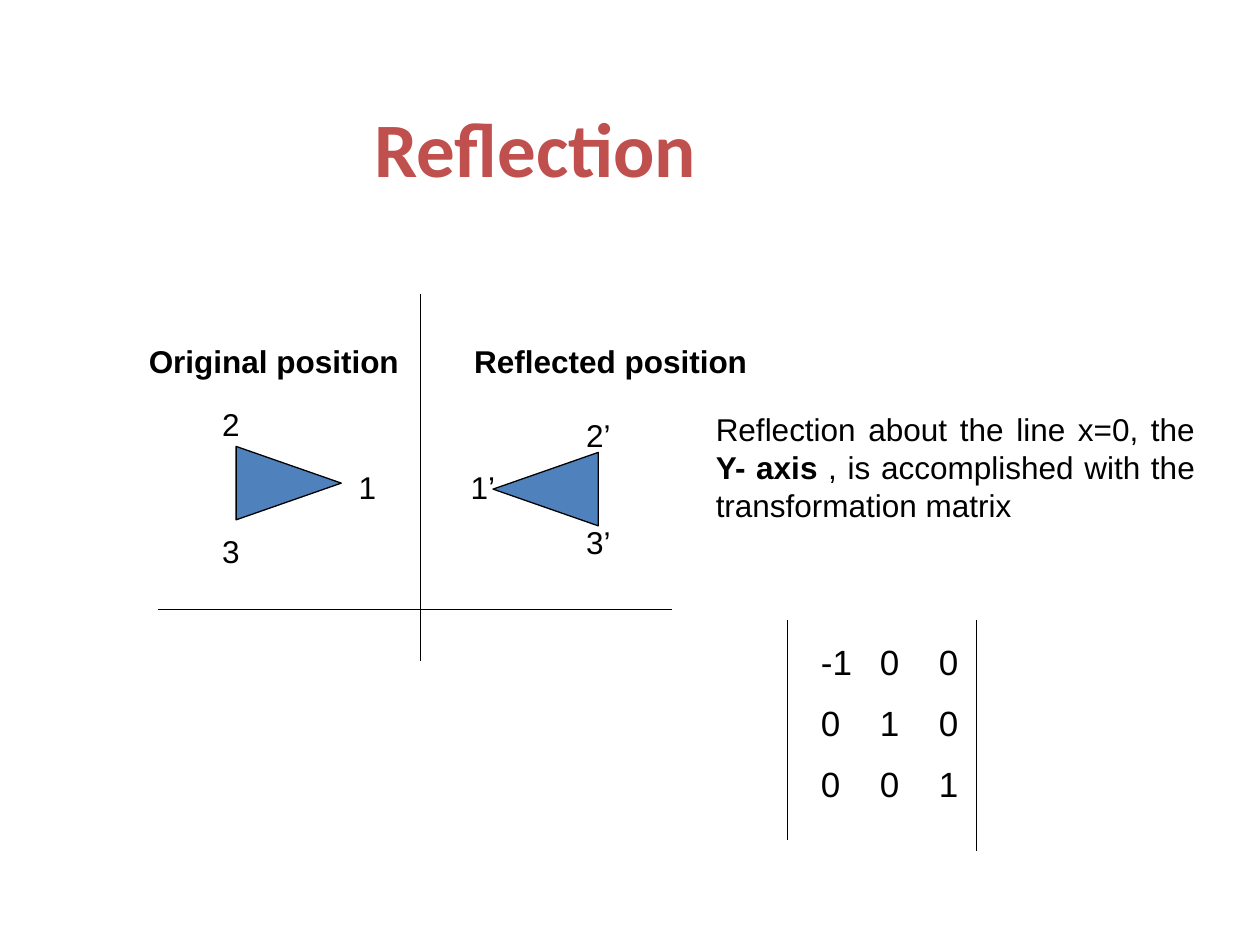
"""Build a slide that explains reflection about the Y axis."""
from dataclasses import dataclass

from lxml import etree
from pptx import Presentation
from pptx.dml.color import RGBColor
from pptx.enum.shapes import MSO_CONNECTOR, MSO_SHAPE
from pptx.enum.text import MSO_ANCHOR, PP_ALIGN
from pptx.oxml.ns import qn
from pptx.util import Cm, Pt

STRAIGHT = MSO_CONNECTOR.STRAIGHT
TRIANGLE = MSO_SHAPE.ISOSCELES_TRIANGLE
TOP, BOTTOM = MSO_ANCHOR.TOP, MSO_ANCHOR.BOTTOM
LEFT, CENTER, JUSTIFY = PP_ALIGN.LEFT, PP_ALIGN.CENTER, PP_ALIGN.JUSTIFY


@dataclass(frozen=True)
class Theme:
    """Colours, fonts and sizes of the slide."""
    ink: RGBColor = RGBColor(0, 0, 0)
    accent: RGBColor = RGBColor(0xC0, 0x50, 0x4D)
    fill: RGBColor = RGBColor(0x4F, 0x81, 0xBD)
    heading_font: str = "Calibri"
    body_font: str = "Arial"
    title_size: Pt = Pt(44)
    matrix_size: Pt = Pt(20)
    body_size: Pt = Pt(18)
    row_gap: Pt = Pt(11)
    line_width: Pt = Pt(0.75)


THEME = Theme()


def add_text(page, place, lines, align=LEFT, size=THEME.body_size, bold=None,
             font=THEME.body_font, color=THEME.ink, anchor=TOP):
    """Add a wrapped text box; each line is a list of (text, bold) spans."""
    box = page.shapes.add_textbox(*map(Cm, place))
    frame = box.text_frame
    frame.word_wrap = True
    frame.vertical_anchor = anchor
    for index, spans in enumerate(lines):
        para = frame.add_paragraph() if index else frame.paragraphs[0]
        para.alignment = align
        para.space_before = THEME.row_gap if index else Pt(0)
        para.font.name, para.font.size, para.font.bold = font, size, bold
        para.font.color.rgb = color
        for text, span_bold in spans:
            span = para.add_run()
            span.text = text
            if span_bold:
                span.font.bold = True
    return box


def add_line(page, *ends):
    """Add a thin straight line between two points."""
    line = page.shapes.add_connector(STRAIGHT, *map(Cm, ends))
    line.line.color.rgb = THEME.ink
    line.line.width = THEME.line_width
    etree.SubElement(line._element.spPr, qn("a:effectLst"))


def add_triangle(page, left, top, rotation):
    """Add a filled triangle turned to the given angle."""
    triangle = page.shapes.add_shape(TRIANGLE, Cm(left), Cm(top), Cm(1.48), Cm(2.12))
    triangle.rotation = rotation
    triangle.shadow.inherit = False
    triangle.fill.solid()
    triangle.fill.fore_color.rgb = THEME.fill
    triangle.line.color.rgb = THEME.ink
    triangle.line.width = THEME.line_width


def add_matrix(page, place, rows, column_step):
    """Add matrix rows whose columns sit on evenly spaced tab stops."""
    lines = [[("\t".join(row), False)] for row in rows]
    box = add_text(page, place, lines, size=THEME.matrix_size)
    for para in box.text_frame.paragraphs:
        properties = para._p.get_or_add_pPr()
        tabs = etree.Element(qn("a:tabLst"))
        for column in range(1, len(rows[0])):
            etree.SubElement(tabs, qn("a:tab"), pos=str(Cm(column * column_step)), algn="l")
        properties.find(qn("a:defRPr")).addprevious(tabs)


def main():
    """Build and save the slide."""
    deck = Presentation()
    deck.slide_width, deck.slide_height = Cm(25.4), Cm(19.05)
    page = deck.slides.add_slide(deck.slide_layouts[6])

    add_text(page, (0, 0.84, 21.59, 3.18), [[("Reflection", False)]], CENTER,
             THEME.title_size, True, THEME.heading_font, THEME.accent, BOTTOM)

    for ends in ((8.47, 5.92, 8.47, 13.33), (3.18, 12.28, 13.55, 12.28),
                 (15.88, 12.49, 15.88, 16.93), (19.69, 12.49, 19.69, 17.15)):
        add_line(page, *ends)
    add_matrix(page, (16.3, 12.78, 3.6, 3.63),
               (("-1", "0", "0"), ("0", "1", "0"), ("0", "0", "1")), 1.19)

    add_triangle(page, 5.08, 8.68, 90)
    add_triangle(page, 10.26, 8.8, 270)
    for text, left, top in (("1’", 9.1, 9.31), ("3’", 11.43, 10.41), ("2’", 11.43, 8.26),
                            ("3", 4.02, 10.61), ("2", 4.02, 8.04), ("1", 6.77, 9.31)):
        add_text(page, (left, top, 1.27, 1.02), [[(text, False)]], CENTER)

    for text, left, width in (("Original position", 2.75, 8.04),
                              ("Reflected position", 9.31, 6.35)):
        add_text(page, (left, 6.77, width, 1.02), [[(text, False)]], bold=True)
    add_text(page, (14.18, 8.15, 10.16, 3.68), [[
        ("Reflection about the line x=0, the ", False), ("Y- axis", True),
        (" , is accomplished with the transformation matrix", False)]], JUSTIFY)

    deck.save("out.pptx")


main()
